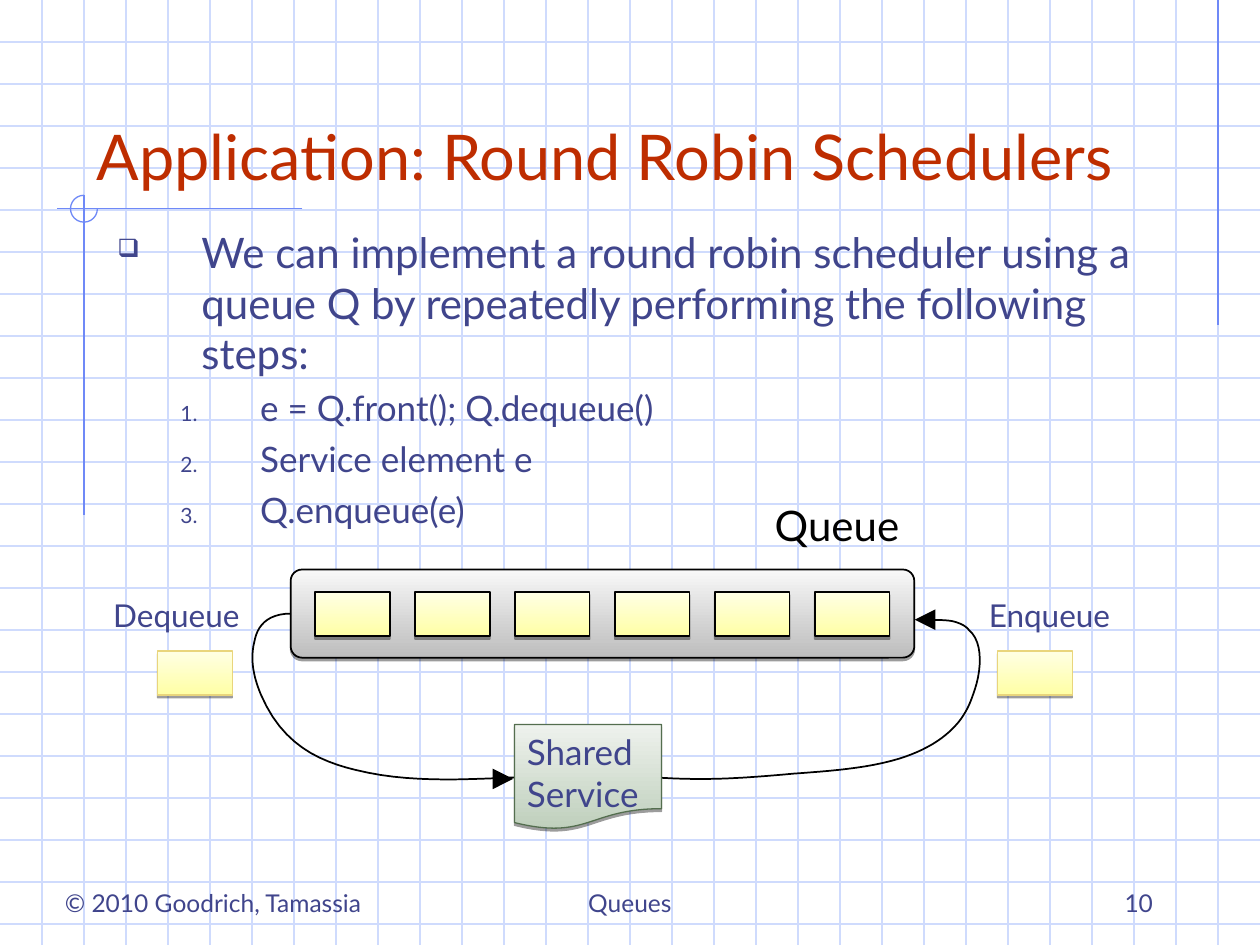
import itertools
from dataclasses import dataclass

import lxml.etree
import pptx
import pptx.dml.color
import pptx.enum.shapes
import pptx.enum.text
import pptx.oxml.ns
import pptx.util

SHAPE = pptx.enum.shapes.MSO_SHAPE
ALIGN = pptx.enum.text.PP_ALIGN
ANCHOR = pptx.enum.text.MSO_ANCHOR
UNIT = pptx.util.Inches(1) // 3  # one square of the page grid
COLUMNS, ROWS = 30, 22.5
FONT = "Lato"
COLORS = {
    "grid": "CFDBFD", "frame": "6F89F7", "title": "BE2D00", "text": "40458C",
    "black": "000000", "panel low": "BDBDBD", "panel high": "F8F8F8",
    "card low": "FFFFA5", "card high": "FFFFE4", "card line": "E9D57C",
    "service low": "BFCFBC", "service high": "EEF2ED", "service line": "546E4F",
}


@dataclass(frozen=True)
class Area:
    """A rectangle in grid columns and rows."""
    column: float
    row: float
    width: float
    height: float

    def lengths(self) -> list[int]:
        return [cells(n) for n in (self.column, self.row, self.width, self.height)]


@dataclass(frozen=True)
class Label:
    text: str
    area: Area
    size: int
    color: str = "text"
    align: ALIGN = ALIGN.LEFT
    anchor: ANCHOR = ANCHOR.TOP
    wrap: bool = True


@dataclass(frozen=True)
class Step:
    text: str
    size: int
    level: int
    margin: float
    hanging: float
    before: int
    bullet: tuple[str, dict]


NUMBER = ("a:buAutoNum", {"type": "arabicPeriod"})
STEPS = [
    Step("We can implement a round robin scheduler using a queue Q by repeatedly "
         "performing the following steps:", 24, 0, 2, 2, 6, ("a:buChar", {"char": "❑"})),
    *(Step(text, 20, 1, 3.4, 1.9, 5, NUMBER)
      for text in ("e = Q.front(); Q.dequeue()", "Service element e", "Q.enqueue(e)")),
]
FOOTERS = [
    Label("Queues", Area(10.25, 20.5, 9.5, 1.5), 14, align=ALIGN.CENTER, anchor=ANCHOR.BOTTOM),
    Label("10", Area(21.5, 20.5, 6.25, 1.5), 14, align=ALIGN.RIGHT, anchor=ANCHOR.BOTTOM),
    Label("© 2010 Goodrich, Tamassia", Area(1.25, 20.5, 8.5, 1.5), 14, anchor=ANCHOR.BOTTOM),
]
CAPTIONS = [
    Label("Queue", Area(18.15, 11.75, 3.75, 1.5), 24, "black", wrap=False),
    Label("Enqueue", Area(23.25, 14.05, 6.25, 1.2), 18),
    Label("Dequeue", Area(0.5, 14.05, 5.5, 1.2), 18, align=ALIGN.RIGHT),
]
TITLE = Label("Application: Round Robin Schedulers", Area(2, 1, 25.5, 3.75), 36, "title",
              anchor=ANCHOR.BOTTOM)
SERVICE = Label("Shared\vService", Area(12.25, 17.25, 3.5, 2.5), 20, wrap=False)
# Each curve is a start point followed by three points per cubic segment.
DEQUEUE_CURVE = [
    (6.93, 14.61), (6.33, 14.61), (6.12, 14.94), (6.06, 15.27),
    (5.94, 15.72), (6.06, 16.17), (6.21, 16.53), (6.72, 17.73), (7.59, 18.12), (8.46, 18.33),
    (9.66, 18.63), (10.89, 18.57), (12.25, 18.51),
]
ENQUEUE_CURVE = [
    (15.57, 18.51), (16.11, 18.54), (16.2, 18.54), (16.26, 18.54),
    (17.07, 18.57), (17.91, 18.51), (18.9, 18.42), (19.71, 18.36), (20.64, 18.3), (21.42, 18.06),
    (21.99, 17.88), (22.47, 17.61), (22.8, 17.22), (22.95, 17.04), (23.07, 16.83), (23.16, 16.56),
    (23.37, 16.02), (23.43, 15.3), (23.07, 15), (22.98, 14.88), (22.8, 14.82), (22.68, 14.79),
    (22.5, 14.76), (22.35, 14.76), (22.11, 14.76),
]


def cells(count: float) -> int:
    return round(count * UNIT)


def rgb(name: str) -> pptx.dml.color.RGBColor:
    return pptx.dml.color.RGBColor.from_string(COLORS[name])


def add_xml(parent, tag: str, **attributes: str):
    return lxml.etree.SubElement(parent, pptx.oxml.ns.qn(tag), attributes)


def set_line(shape, color: str, width: float) -> None:
    shape.line.color.rgb = rgb(color)
    shape.line.width = pptx.util.Pt(width)


def draw_line(page, start: tuple, end: tuple, color: str) -> None:
    line = page.shapes.add_connector(pptx.enum.shapes.MSO_CONNECTOR.STRAIGHT,
                                     *(cells(n) for n in (*start, *end)))
    set_line(line, color, 0.75)
    add_xml(line.element.spPr, "a:effectLst")


def draw_shape(page, kind: SHAPE, area: Area):
    shape = page.shapes.add_shape(kind, *area.lengths())
    shape.shadow.inherit = False
    return shape


def draw_raised(page, kind: SHAPE, area: Area, fill: str, line: str, width: float):
    """Draw a shape with a gradient, darker at the bottom, and a short drop shadow."""
    shape = draw_shape(page, kind, area)
    shape.fill.gradient()
    shape.fill.gradient_angle = 90
    for stop, end in zip(shape.fill.gradient_stops, ("low", "high")):
        stop.color.rgb = rgb(f"{fill} {end}")
    set_line(shape, line, width)
    effects = shape.element.spPr.find(pptx.oxml.ns.qn("a:effectLst"))
    shadow = add_xml(effects, "a:outerShdw", blurRad="0", dist=str(pptx.util.Pt(1.6)),
                     dir="5400000", rotWithShape="0")
    add_xml(add_xml(shadow, "a:srgbClr", val=COLORS["black"]), "a:alpha", val="38000")
    return shape


def set_font(para, size: int, color: str) -> None:
    para.font.name = FONT
    para.font.size = pptx.util.Pt(size)
    para.font.color.rgb = rgb(color)


def write(shape, label: Label) -> None:
    frame = shape.text_frame
    frame.word_wrap = label.wrap
    frame.auto_size = pptx.enum.text.MSO_AUTO_SIZE.NONE
    frame.vertical_anchor = label.anchor
    para = frame.paragraphs[0]
    para.text = label.text
    para.alignment = label.align
    set_font(para, label.size, label.color)


def draw_label(page, label: Label) -> None:
    write(page.shapes.add_textbox(*label.area.lengths()), label)


def draw_steps(page, area: Area) -> None:
    frame = page.shapes.add_textbox(*area.lengths()).text_frame
    frame.word_wrap = True
    for index, step in enumerate(STEPS):
        para = frame.add_paragraph() if index else frame.paragraphs[0]
        para.text = step.text
        para.level = step.level
        para.space_before = pptx.util.Pt(step.before)
        properties = para._p.get_or_add_pPr()
        properties.set("marL", str(cells(step.margin)))
        properties.set("indent", str(-cells(step.hanging)))
        add_xml(add_xml(properties, "a:buClr"), "a:srgbClr", val=COLORS["text"])
        add_xml(properties, "a:buSzPct", val="60000")
        tag, attributes = step.bullet
        add_xml(properties, tag, **attributes)
        set_font(para, step.size, "text")


def draw_curve(page, points: list[tuple], pieces: int = 12) -> None:
    """Draw joined cubic segments as one fine open outline."""
    outline = []
    for first in range(0, len(points) - 1, 3):
        corners = points[first:first + 4]
        for t in (n / pieces for n in range(1, pieces + 1)):
            weights = ((1 - t) ** 3, 3 * t * (1 - t) ** 2, 3 * t * t * (1 - t), t ** 3)
            outline.append(tuple(sum(w * c[axis] for w, c in zip(weights, corners))
                                 for axis in (0, 1)))
    builder = page.shapes.build_freeform(*(cells(n) for n in points[0]))
    builder.add_line_segments([(cells(x), cells(y)) for x, y in outline], close=False)
    curve = builder.convert_to_shape()
    curve.shadow.inherit = False
    curve.fill.background()
    set_line(curve, "black", 1)


def draw_arrowhead(page, column: float, row: float, rotation: int) -> None:
    head = draw_shape(page, SHAPE.ISOSCELES_TRIANGLE, Area(column, row, 0.49, 0.49))
    head.rotation = rotation
    head.fill.solid()
    head.fill.fore_color.rgb = rgb("black")
    head.line.fill.background()


def draw_card(page, column: float, row: float, line: str, width: float) -> None:
    draw_raised(page, SHAPE.RECTANGLE, Area(column, row, 1.78, 1.05), "card", line, width)


def draw_background(page) -> None:
    for row in range(1, int(ROWS) + 1):
        draw_line(page, (0, row), (COLUMNS, row), "grid")
    for column in range(1, COLUMNS):
        draw_line(page, (column, 0), (column, ROWS), "grid")
    for start, end in (((29, 0), (29, 7.75)), ((7.2, 4.97), (1.35, 4.97)), ((2, 4.65), (2, 12.27))):
        draw_line(page, start, end, "frame")
    arc = draw_shape(page, SHAPE.ARC, Area(1.68, 4.65, 0.64, 0.64))
    arc.adjustments[0], arc.adjustments[1] = 0, 162  # right side clockwise to the top
    arc.fill.background()
    set_line(arc, "frame", 0.75)


def draw_queue(page) -> None:
    panel = draw_raised(page, SHAPE.ROUNDED_RECTANGLE, Area(6.92, 13.56, 14.85, 2.1),
                        "panel", "black", 1)
    panel.adjustments[0] = 0.13
    for place in range(6):
        draw_card(page, 7.5 + 2.38 * place, 14.1, "black", 1)
    for curve in (DEQUEUE_CURVE, ENQUEUE_CURVE):
        draw_curve(page, curve)
    draw_arrowhead(page, 11.73, 18.3, 90)
    draw_arrowhead(page, 21.78, 14.51, 270)
    service = draw_raised(page, SHAPE.FLOWCHART_DOCUMENT, SERVICE.area,
                          "service", "service line", 0.75)
    write(service, SERVICE)
    for column in (3.75, 23.75):
        draw_card(page, column, 15.5, "card line", 0.75)


def main() -> None:
    deck = pptx.Presentation()
    deck.slide_width, deck.slide_height = cells(COLUMNS), cells(ROWS)
    page = deck.slides.add_slide(deck.slide_layouts[5])
    draw_background(page)
    title = page.shapes.title
    title.left, title.top, title.width, title.height = TITLE.area.lengths()
    write(title, TITLE)
    page.shapes.element.append(title.element)  # in front of the grid
    draw_steps(page, Area(2.5, 5.25, 26.25, 8))
    draw_queue(page)
    for label in itertools.chain(FOOTERS, CAPTIONS):
        draw_label(page, label)
    deck.save("out.pptx")


if __name__ == "__main__":
    main()
